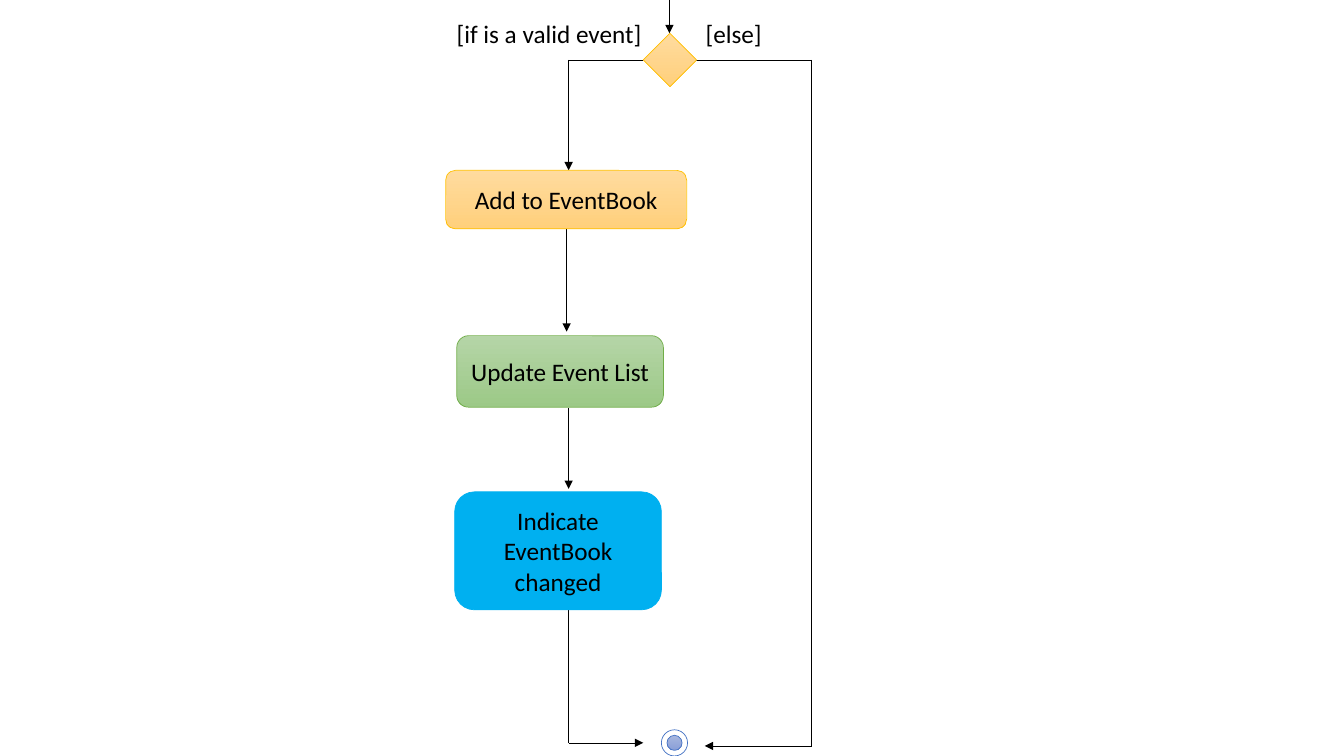
from itertools import pairwise

from lxml import etree
from pptx import Presentation, util as u
from pptx.dml.color import RGBColor
from pptx.enum import shapes, text
from pptx.oxml.ns import qn

CELL = u.Inches(0.1)
FONT = "Calibri"
BLACK = RGBColor(0x00, 0x00, 0x00)
WHITE = RGBColor(0xFF, 0xFF, 0xFF)
GOLD = RGBColor(0xFF, 0xC0, 0x00)
GOLD_FADE = RGBColor(0xFF, 0xDB, 0x9E), RGBColor(0xFF, 0xD0, 0x7C)
GREEN = RGBColor(0x70, 0xAD, 0x47)
GREEN_FADE = RGBColor(0xB5, 0xD5, 0xA7), RGBColor(0x9C, 0xC9, 0x87)
BLUE = RGBColor(0x44, 0x72, 0xC4)
BLUE_FADE = RGBColor(0xA8, 0xB7, 0xDF), RGBColor(0x88, 0x9E, 0xD7)
SKY = RGBColor(0x00, 0xB0, 0xF0)


def cells(*counts):
    """Convert counts of grid cells to lengths."""
    return [round(count * CELL) for count in counts]


def write(frame, words, size=18, color=BLACK, align=text.PP_ALIGN.LEFT,
          anchor=text.MSO_ANCHOR.TOP):
    """Write one formatted paragraph into a text frame."""
    frame.word_wrap = True
    frame.vertical_anchor = anchor
    paragraph = frame.paragraphs[0]
    paragraph.alignment = align
    run = paragraph.add_run()
    run.text = words
    run.font.name = FONT
    run.font.size = u.Pt(size)
    run.font.color.rgb = color


def add_node(parent, kind, place, fade, outline):
    """Add an outlined shape filled from the first fade colour down to the last."""
    node = parent.add_shape(kind, *cells(*place))
    node.shadow.inherit = False
    node.line.color.rgb = outline
    node.line.width = u.Pt(0.5)
    if len(fade) == 1:
        node.fill.solid()
        node.fill.fore_color.rgb = fade[0]
    else:
        node.fill.gradient()
        node.fill.gradient_angle = 270
        for stop, color in zip(node.fill.gradient_stops, fade):
            stop.color.rgb = color
    return node


def add_action(slide, words, place, fade, outline):
    """Add a rounded activity box with centred words."""
    action = add_node(slide.shapes, shapes.MSO_SHAPE.ROUNDED_RECTANGLE, place, fade, outline)
    write(action.text_frame, words, align=text.PP_ALIGN.CENTER,
          anchor=text.MSO_ANCHOR.MIDDLE)


def add_guard(slide, words, place):
    """Add the condition beside a branch."""
    write(slide.shapes.add_textbox(*cells(*place)).text_frame, words)


def add_flow(slide, *points):
    """Join the points with straight lines and end in an arrowhead."""
    for start, end in pairwise(points):
        segment = slide.shapes.add_connector(
            shapes.MSO_CONNECTOR.STRAIGHT, *cells(*start, *end))
        segment.line.color.rgb = BLACK
        segment.line.width = u.Pt(0.5)
        properties = segment._element.spPr
        etree.SubElement(properties, qn("a:effectLst"))
    etree.SubElement(properties.find(qn("a:ln")), qn("a:tailEnd"), type="triangle")


def add_final(slide):
    """Add the ringed dot that ends the activity."""
    final = slide.shapes.add_group_shape().shapes
    add_node(final, shapes.MSO_SHAPE.OVAL, (65.6, 72.4, 2.6, 2.6), [WHITE], BLUE)
    add_node(final, shapes.MSO_SHAPE.OVAL, (66.15, 72.95, 1.5, 1.5), BLUE_FADE, BLUE)


def main():
    """Build the activity diagram."""
    deck = Presentation()
    deck.slide_width, deck.slide_height = u.Inches(13.33), u.Inches(7.5)
    slide = deck.slides.add_slide(deck.slide_layouts[6])
    valid, bypass, branch = 56.4, 80.5, 5.95

    add_flow(slide, (66.4, 0), (66.4, 3.3))
    add_flow(slide, (63.8, branch), (valid, branch), (valid, 16.9))
    add_flow(slide, (69, branch), (bypass, branch), (bypass, 74), (69.9, 74))
    add_flow(slide, (56.2, 22.7), (56.2, 32.9))
    add_flow(slide, (valid, 40.5), (valid, 48.5))
    add_flow(slide, (valid, 60.5), (valid, 73.7), (63.8, 73.7))

    add_node(slide.shapes, shapes.MSO_SHAPE.DIAMOND, (63.8, 3.3, 5.3, 5.3), GOLD_FADE, GOLD)
    add_guard(slide, "[if is a valid event]", (44.3, 1.3, 20.8, 4))
    add_guard(slide, "[else]", (69, 1.3, 9.3, 4))
    add_action(slide, "Add to EventBook", (44.2, 16.9, 23.9, 5.8), GOLD_FADE, GOLD)
    add_action(slide, "Update Event List", (45.3, 33.3, 20.5, 7.1), GREEN_FADE, GREEN)
    add_action(slide, "Indicate EventBook changed", (45.1, 48.8, 20.5, 11.7), [SKY], SKY)
    add_final(slide)
    deck.save("out.pptx")


if __name__ == "__main__":
    main()
